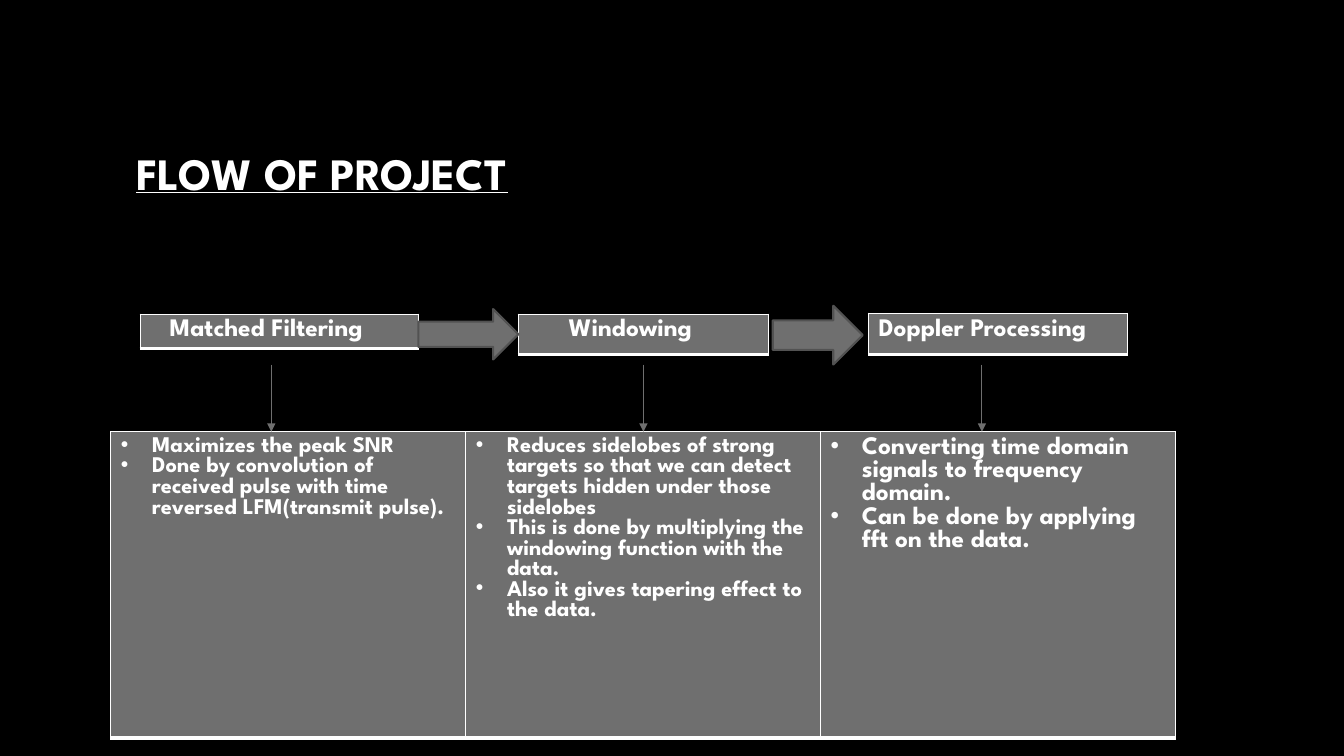
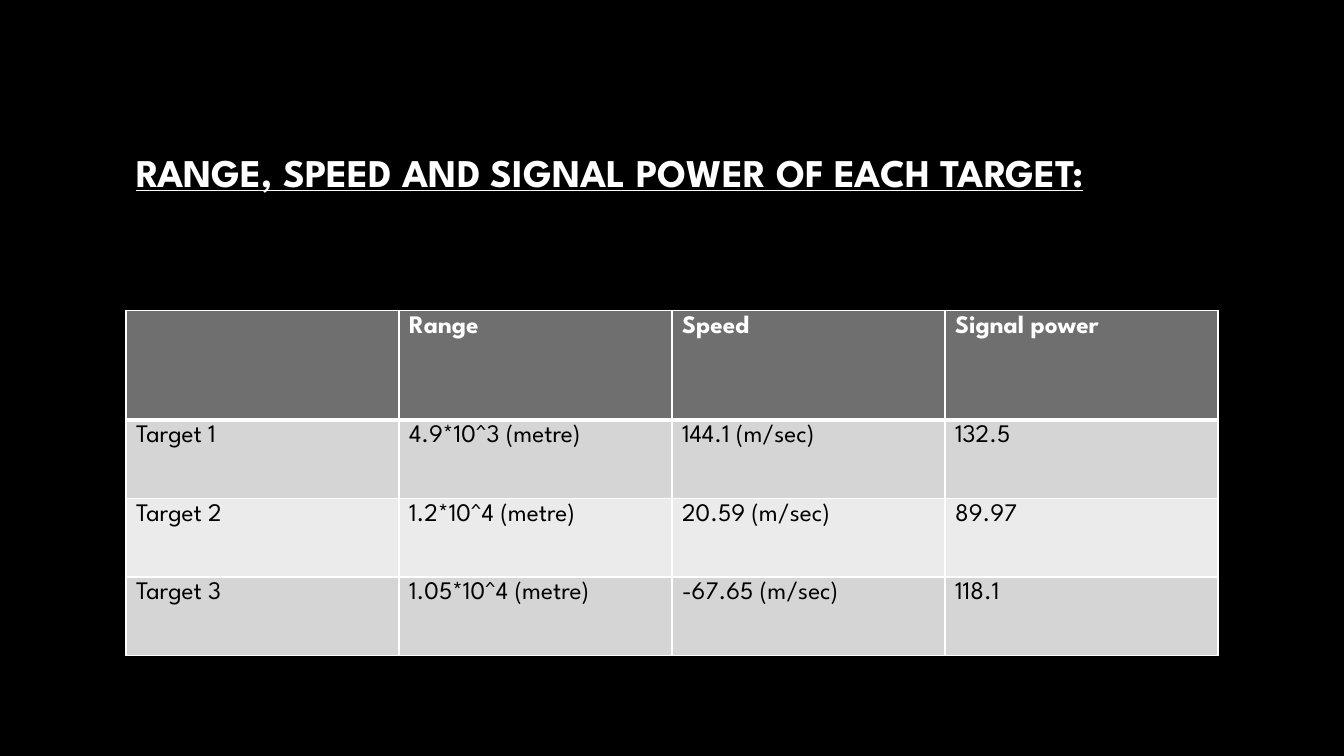
from dataclasses import dataclass

from lxml.etree import SubElement
from pptx import Presentation
from pptx.dml.color import RGBColor
from pptx.enum.shapes import MSO_CONNECTOR, MSO_SHAPE
from pptx.enum.text import MSO_ANCHOR, PP_ALIGN
from pptx.oxml import parse_xml
from pptx.oxml.ns import nsdecls, qn
from pptx.util import Inches, Pt


@dataclass(frozen=True)
class Theme:
    font: str = "League Spartan"
    background: RGBColor = RGBColor(0, 0, 0)
    light: RGBColor = RGBColor(0xFF, 0xFF, 0xFF)
    dark: RGBColor = RGBColor(0, 0, 0)
    accent: RGBColor = RGBColor(0x6F, 0x6F, 0x6F)
    outline: RGBColor = RGBColor(0x52, 0x52, 0x52)
    band_odd: RGBColor = RGBColor(0xD5, 0xD5, 0xD5)
    band_even: RGBColor = RGBColor(0xEB, 0xEB, 0xEB)
    title_large: int = 32
    title_small: int = 28
    text: int = 18
    small_text: int = 16
    thin_border: int = 1
    thick_border: int = 3


THEME = Theme()
# The slide is a grid of 160 columns by 90 rows of square units.
UNIT = Inches(1) / 12
COLUMNS, ROWS = 160, 90


def format_text(paragraph, size, color, bold=True):
    font = paragraph.font
    font.name, font.size, font.bold = THEME.font, Pt(size), bold
    font.color.rgb = color


def add_grid_table(slide, left, top, column_width, row_heights, content):
    """Add a table whose first row is a header with a thick line below it."""
    column_count = len(content[0])
    frame = slide.shapes.add_table(
        len(content), column_count, int(left * UNIT), int(top * UNIT),
        int(column_width * column_count * UNIT), int(sum(row_heights) * UNIT))
    table = frame.table
    table.first_row = table.horz_banding = False
    for column in table.columns:
        column.width = int(column_width * UNIT)
    for row_index, (row, height) in enumerate(zip(table.rows, row_heights)):
        row.height = int(height * UNIT)
        header = row_index == 0
        band = THEME.band_odd if row_index % 2 else THEME.band_even
        for cell, text in zip(row.cells, content[row_index]):
            cell.text = text
            cell.fill.solid()
            cell.fill.fore_color.rgb = THEME.accent if header else band
            for paragraph in cell.text_frame.paragraphs:
                format_text(paragraph, THEME.text,
                            THEME.light if header else THEME.dark, header)
            thick_side = {0: "B", 1: "T"}.get(row_index)
            for position, side in enumerate("LRTB"):
                width = THEME.thick_border if side == thick_side else THEME.thin_border
                cell._tc.get_or_add_tcPr().insert(position, parse_xml(
                    f'<a:ln{side} {nsdecls("a")} w="{Pt(width)}"><a:solidFill>'
                    f'<a:srgbClr val="{THEME.light}"/></a:solidFill></a:ln{side}>'))
    return table


presentation = Presentation()
presentation.slide_width = int(COLUMNS * UNIT)
presentation.slide_height = int(ROWS * UNIT)
background = presentation.slide_master.background.fill
background.solid()
background.fore_color.rgb = THEME.background

layout = presentation.slide_layouts.get_by_name("Title Only")
layout_title = next(shape for shape in layout.placeholders
                    if shape.placeholder_format.idx == 0)
layout_title.left, layout_title.top = int(15 * UNIT), int(8 * UNIT)
layout_title.width, layout_title.height = int(130 * UNIT), int(25 * UNIT)

slides = []
for text, size in [
    ("FLOW OF PROJECT", THEME.title_large),
    ("RANGE, SPEED AND SIGNAL POWER OF EACH TARGET:", THEME.title_small),
]:
    slide = presentation.slides.add_slide(layout)
    title = slide.shapes.title
    title.text = text
    title.text_frame.vertical_anchor = MSO_ANCHOR.MIDDLE
    paragraph = title.text_frame.paragraphs[0]
    paragraph.alignment = PP_ALIGN.LEFT
    format_text(paragraph, size, THEME.light)
    paragraph.font.underline = True
    slides.append(slide)
flow_slide, results_slide = slides

# Flow of project: what each step does
steps = [
    ("Maximizes the peak SNR\n"
     "Done by convolution of received pulse with time reversed LFM(transmit pulse).",
     THEME.small_text),
    ("Reduces sidelobes of strong targets so that we can detect targets "
     "hidden under those sidelobes\n"
     "This is done by multiplying the windowing function with the data.\n"
     "Also it gives tapering effect to the data.", THEME.small_text),
    ("Converting time domain signals to frequency domain.\n"
     "Can be done by applying fft on the data.", THEME.text),
]
DETAILS_TOP = 51.4
details = add_grid_table(flow_slide, 13.2, DETAILS_TOP, 42.25, [36.5],
                         [[text for text, size in steps]])
for cell, (text, size) in zip(details.rows[0].cells, steps):
    for paragraph in cell.text_frame.paragraphs:
        paragraph.font.size = Pt(size)
        properties = paragraph._p.get_or_add_pPr()
        properties.set("marL", str(Inches(0.31)))
        properties.set("indent", str(-Inches(0.31)))
        properties.insert(0, parse_xml(f'<a:buChar {nsdecls("a")} char="•"/>'))

for center in (32.3, 76.6, 116.9):
    connector = flow_slide.shapes.add_connector(
        MSO_CONNECTOR.STRAIGHT, int(center * UNIT), int(43.4 * UNIT),
        int(center * UNIT), int(DETAILS_TOP * UNIT))
    connector.line.color.rgb = THEME.accent
    connector.line.width = Pt(0.75)
    SubElement(connector.line._get_or_add_ln(), qn("a:tailEnd"), type="triangle")
    SubElement(connector._element.spPr, qn("a:effectLst"))

# Flow of project: the steps and the arrows between them
for name, left, top, width, height, indent in [
    ("Matched Filtering", 16.7, 37.4, 33.1, 4.1, 3.5),
    ("Windowing", 61.7, 37.4, 29.8, 4.8, 6),
    ("Doppler Processing", 103.4, 37.3, 30.8, 4.9, 1.2),
]:
    heading = add_grid_table(flow_slide, left, top, width, [height], [[name]])
    heading.cell(0, 0).margin_left = int(indent * UNIT)

for left, top, width, height in [(92, 36.4, 10.7, 7), (49.8, 36.8, 11.9, 6)]:
    arrow = flow_slide.shapes.add_shape(
        MSO_SHAPE.RIGHT_ARROW, int(left * UNIT), int(top * UNIT),
        int(width * UNIT), int(height * UNIT))
    arrow.shadow.inherit = False
    arrow.fill.solid()
    arrow.fill.fore_color.rgb = THEME.accent
    arrow.line.color.rgb = THEME.outline
    arrow.line.width = Pt(1.5)

# Results for each target
add_grid_table(results_slide, 15, 37, 32.5, [13, 9.35, 9.35, 9.35], [
    ["", "Range", "Speed", "Signal power"],
    ["Target 1", "4.9*10^3 (metre)", "144.1 (m/sec)", "132.5"],
    ["Target 2", "1.2*10^4 (metre)", "20.59 (m/sec)", "89.97"],
    ["Target 3", "1.05*10^4 (metre)", "-67.65 (m/sec)", "118.1"],
])

presentation.save("out.pptx")
